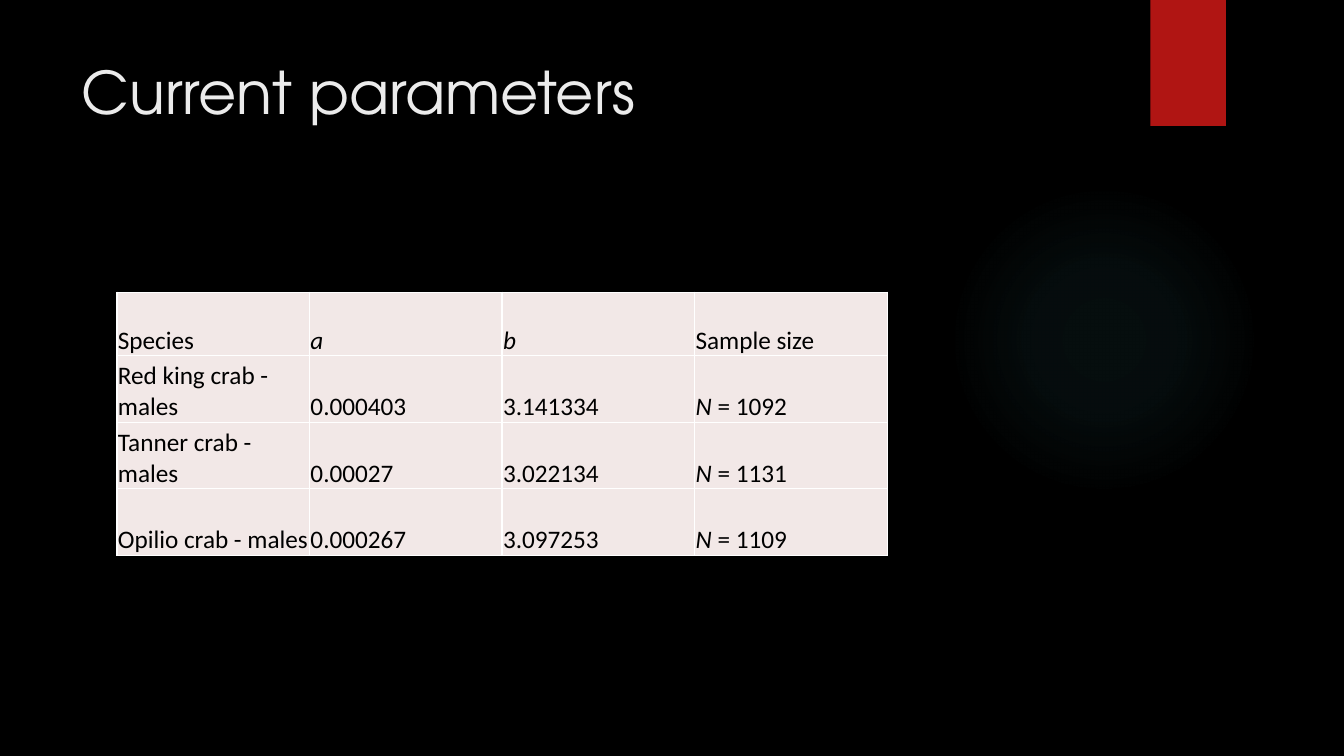
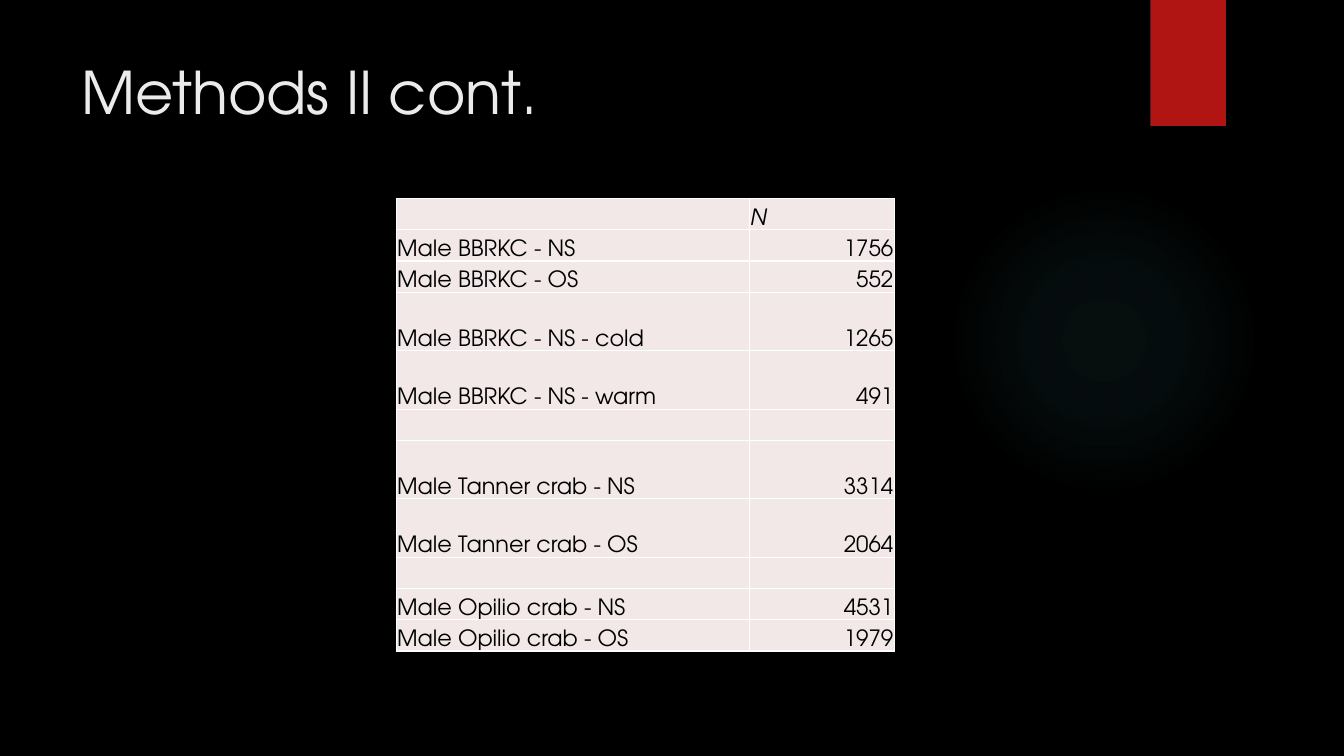
import pptx
import pptx.dml.color
import pptx.enum.shapes
import pptx.enum.text
import pptx.oxml
import pptx.oxml.ns
import pptx.util

Inches = pptx.util.Inches
Align = pptx.enum.text.PP_ALIGN
Anchor = pptx.enum.text.MSO_ANCHOR
Shape = pptx.enum.shapes.MSO_SHAPE

COLOURS = {
    "background": "000000",
    "glow": "50B9C1",
    "ribbon": "B01513",
    "title": "EBEBEB",
    "cell": "F2E8E7",
    "border": "FFFFFF",
    "text": "000000",
}
HEADING_FONT = "TeX Gyre Adventor"
TABLE_FONT = "Calibri"
GLOW_STOPS = ((0, 7), (36, 6), (69, 0))
VARIABLES = {"a", "b", "N"}

PARAMETERS = (
    ("Species", "a", "b", "Sample size"),
    ("Red king crab - males", "0.000403", "3.141334", "N = 1092"),
    ("Tanner crab - males", "0.00027", "3.022134", "N = 1131"),
    ("Opilio crab - males", "0.000267", "3.097253", "N = 1109"),
)
LOW, HIGH = 0.31, 0.58
SAMPLES = (
    (LOW, "", "N"),
    (LOW, "Male BBRKC - NS", "1756"),
    (LOW, "Male BBRKC - OS", "552"),
    (HIGH, "Male BBRKC - NS - cold", "1265"),
    (HIGH, "Male BBRKC - NS - warm", "491"),
    (LOW, "", ""),
    (HIGH, "Male Tanner crab - NS", "3314"),
    (HIGH, "Male Tanner crab - OS", "2064"),
    (LOW, "", ""),
    (LOW, "Male Opilio crab - NS", "4531"),
    (LOW, "Male Opilio crab - OS", "1979"),
)


def colour(name):
    return pptx.dml.color.RGBColor.from_string(COLOURS[name])


def xml(tag, content, attributes=""):
    namespace = pptx.oxml.ns.nsdecls("a")
    return pptx.oxml.parse_xml(f"<a:{tag} {namespace} {attributes}>{content}</a:{tag}>")


def write_text(paragraph, text, font, size, fill="text", italic=False, align=Align.LEFT):
    paragraph.alignment = align
    run = paragraph.add_run()
    run.text = text
    run.font.name = font
    run.font.size = pptx.util.Pt(size)
    run.font.italic = italic
    run.font.color.rgb = colour(fill)


class Deck:
    def __init__(self):
        self.presentation = pptx.Presentation()
        self.presentation.slide_width = Inches(13.33)
        self.presentation.slide_height = Inches(7.5)
        self.slide = None

    def add_slide(self, title):
        self.slide = self.presentation.slides.add_slide(self.presentation.slide_layouts[6])
        background = self.slide.background.fill
        background.solid()
        background.fore_color.rgb = colour("background")
        self.add_glow()
        self.add_ribbon()
        self.add_title(title)

    def add_shape(self, kind, left, top, width, height):
        shape = self.slide.shapes.add_shape(
            kind, Inches(left), Inches(top), Inches(width), Inches(height)
        )
        shape.shadow.inherit = False
        shape.line.fill.background()
        return shape

    def add_glow(self):
        shape = self.add_shape(Shape.OVAL, 9.41, 1.83, 3.08, 3.08)
        stops = "".join(
            f'<a:gs pos="{position * 1000}"><a:srgbClr val="{COLOURS["glow"]}">'
            f'<a:alpha val="{opacity * 1000}"/></a:srgbClr></a:gs>'
            for position, opacity in GLOW_STOPS
        )
        centre = '<a:fillToRect l="50000" t="50000" r="50000" b="50000"/>'
        gradient = xml("gradFill", f'<a:gsLst>{stops}</a:gsLst><a:path path="circle">{centre}</a:path>')
        geometry = shape.element.spPr.find(pptx.oxml.ns.qn("a:prstGeom"))
        geometry.addnext(gradient)

    def add_ribbon(self):
        shape = self.add_shape(Shape.RECTANGLE, 11.41, 0, 0.75, 1.25)
        shape.fill.solid()
        shape.fill.fore_color.rgb = colour("ribbon")

    def add_title(self, text):
        box = self.slide.shapes.add_textbox(Inches(0.71), Inches(0.5), Inches(10.29), Inches(1.53))
        box.text_frame.word_wrap = True
        box.text_frame.vertical_anchor = Anchor.TOP
        write_text(box.text_frame.paragraphs[0], text, font=HEADING_FONT, size=42, fill="title")

    def add_table(self, left, top, widths, heights, rows, font, size, numbers=Align.LEFT):
        frame = self.slide.shapes.add_table(
            len(rows), len(widths), Inches(left), Inches(top),
            Inches(sum(widths)), Inches(sum(heights)),
        )
        table = frame.table
        for column, width in zip(table.columns, widths):
            column.width = Inches(width)
        for row, height, texts in zip(table.rows, heights, rows):
            row.height = Inches(height)
            for cell, text in zip(row.cells, texts):
                align = numbers if text.isdigit() else Align.LEFT
                self.fill_cell(cell, text, font, size, align)

    def fill_cell(self, cell, text, font, size, align):
        cell.margin_left = cell.margin_right = cell.margin_top = Inches(0.01)
        cell.margin_bottom = 0
        cell.vertical_anchor = Anchor.BOTTOM
        properties = cell._tc.get_or_add_tcPr()
        line = f'<a:solidFill><a:srgbClr val="{COLOURS["border"]}"/></a:solidFill>'
        for side in "LRTB":
            properties.append(xml(f"ln{side}", line, 'w="12700"'))
        cell.fill.solid()
        cell.fill.fore_color.rgb = colour("cell")
        paragraph = cell.text_frame.paragraphs[0]
        if not text:
            paragraph._p.append(xml("endParaRPr", "", f'sz="{size * 100}"'))
            return
        first, space, rest = text.partition(" ")
        if first in VARIABLES:
            write_text(paragraph, first, font, size, italic=True, align=align)
            text = space + rest
        if text:
            write_text(paragraph, text, font, size, align=align)


def main():
    deck = Deck()
    deck.add_slide("Current parameters")
    deck.add_table(
        1.16, 2.9, [1.91] * 4, [0.63] + [0.66] * 3, PARAMETERS, font=TABLE_FONT, size=18
    )
    deck.add_slide("Methods II cont.")
    deck.add_table(
        3.93, 1.97, [3.5, 1.44], [row[0] for row in SAMPLES], [row[1:] for row in SAMPLES],
        font=HEADING_FONT, size=16, numbers=Align.RIGHT,
    )
    deck.presentation.save("out.pptx")


if __name__ == "__main__":
    main()
